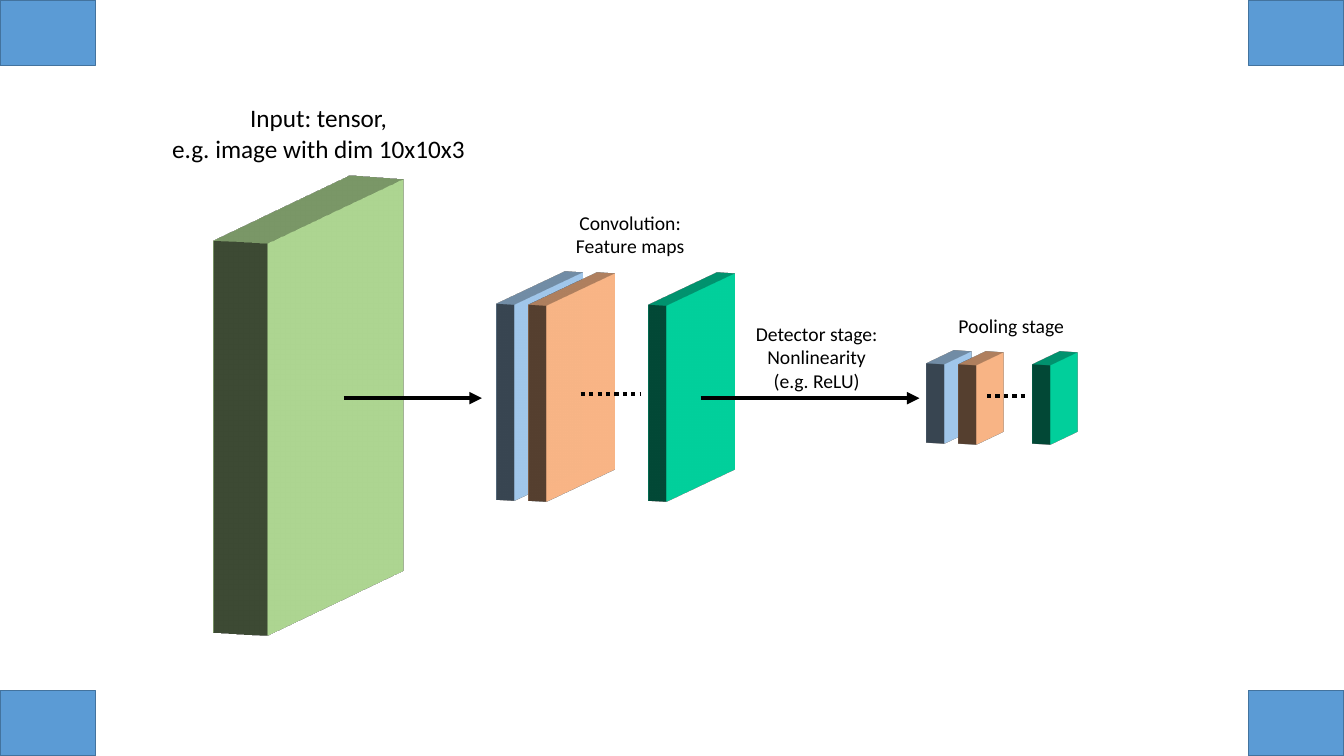
from lxml import etree
from pptx import Presentation
from pptx.dml.color import RGBColor
from pptx.enum import dml, shapes, text
from pptx.oxml import ns
from pptx.util import Inches, Pt

WIDTH, HEIGHT = 13.33, 7.5
FONT = "Calibri"
BLACK = RGBColor(0x00, 0x00, 0x00)
CORNER_FILL = RGBColor(0x5B, 0x9B, 0xD5)
CORNER_LINE = RGBColor(0x43, 0x73, 0x9E)
GREEN = RGBColor(0xA9, 0xD1, 0x8E)
BLUE = RGBColor(0x9D, 0xC3, 0xE6)
ORANGE = RGBColor(0xF4, 0xB1, 0x83)
TEAL = RGBColor(0x00, 0xCC, 0x99)

# Camera turn of every slab, in 60000ths of a degree
TURN = {"lat": str(10 * 60000), "lon": str(290 * 60000), "rev": "0"}


def add_rectangle(slide, x, y, w, h, color):
    sp = slide.shapes.add_shape(shapes.MSO_SHAPE.RECTANGLE,
                                Inches(x), Inches(y), Inches(w), Inches(h))
    sp.shadow.inherit = False
    sp.fill.solid()
    sp.fill.fore_color.rgb = color
    return sp


def add_corners(slide, width, height, w=0.95, h=0.65):
    for y in (0, height - h):
        for x in (0, width - w):
            sp = add_rectangle(slide, x, y, w, h, CORNER_FILL)
            sp.line.color.rgb = CORNER_LINE
            sp.line.width = Pt(1)


def add_slab(slide, x, y, size, depth, color):
    """Draw a square turned in space and extruded backwards by depth."""
    sp = add_rectangle(slide, x, y, size, size, color)
    sp.line.fill.background()
    spPr = sp._element.spPr
    scene = etree.SubElement(spPr, ns.qn("a:scene3d"))
    camera = etree.SubElement(scene, ns.qn("a:camera"), prst="orthographicFront")
    etree.SubElement(camera, ns.qn("a:rot"), TURN)
    etree.SubElement(scene, ns.qn("a:lightRig"), rig="threePt", dir="t")
    etree.SubElement(spPr, ns.qn("a:sp3d"), extrusionH=str(Inches(depth)))


def add_feature_maps(slide, x, y, size, teal_offset):
    for offset, lower, color in ((0, 0, BLUE), (0.31, 0.01, ORANGE), (teal_offset, 0.01, TEAL)):
        add_slab(slide, x + offset, y + lower, size, 0.19, color)


def add_line(slide, x1, x2, y, dotted=False):
    """Draw a horizontal line: dotted, or ending in an arrowhead."""
    cxn = slide.shapes.add_connector(shapes.MSO_CONNECTOR.STRAIGHT,
                                     Inches(x1), Inches(y), Inches(x2), Inches(y))
    cxn.line.color.rgb = BLACK
    cxn.line.width = Pt(3)
    if dotted:
        cxn.line.dash_style = dml.MSO_LINE.ROUND_DOT
    else:
        etree.SubElement(cxn.line._get_or_add_ln(), ns.qn("a:tailEnd"), type="triangle")
    etree.SubElement(cxn._element.spPr, ns.qn("a:effectLst"))


def add_label(slide, x, y, h, paragraphs, size=14, w=3.14):
    tf = slide.shapes.add_textbox(Inches(x), Inches(y), Inches(w), Inches(h)).text_frame
    tf.word_wrap = True
    tf.auto_size = text.MSO_AUTO_SIZE.SHAPE_TO_FIT_TEXT
    style = {"name": FONT, "size": Pt(size)}
    for i, line in enumerate(paragraphs):
        p = tf.add_paragraph() if i else tf.paragraphs[0]
        p.text = line
        p.alignment = text.PP_ALIGN.CENTER
        for r in p.runs:
            for key, value in style.items():
                setattr(r.font, key, value)
            r.font.color.rgb = BLACK


def add_input(slide, x, y):
    add_slab(slide, x, y, 3.94, 0.57, GREEN)
    add_label(slide, x + 0.23, y - 1.1, 0.71,
              ["Input: tensor,", "e.g. image with dim 10x10x3"], size=18)
    add_line(slide, x + 2.05, x + 3.42, y + 1.88)


def add_convolution(slide, x, y):
    add_feature_maps(slide, x, y, 1.97, 1.5)
    add_label(slide, x + 0.22, y - 0.81, 0.57, ["Convolution:\nFeature maps"])
    add_line(slide, x + 1.3, x + 1.89, y + 1.06, dotted=True)


def add_detector(slide, x, y):
    add_label(slide, x, y, 0.81, ["Detector stage:\nNonlinearity\n(e.g. ReLU)"])
    add_line(slide, x + 0.42, x + 2.59, y + 0.81)


def add_pooling(slide, x, y):
    add_feature_maps(slide, x, y, 0.79, 1.05)
    add_label(slide, x - 0.65, y - 0.48, 0.34, ["Pooling stage"])
    add_line(slide, x + 0.68, x + 1.07, y + 0.38, dotted=True)


def main():
    prs = Presentation()
    prs.slide_width, prs.slide_height = Inches(WIDTH), Inches(HEIGHT)
    slide = prs.slides.add_slide(prs.slide_layouts[6])
    add_corners(slide, WIDTH, HEIGHT)
    add_input(slide, 1.36, 2.07)
    add_convolution(slide, 4.46, 2.85)
    add_detector(slide, 6.53, 3.14)
    add_pooling(slide, 9.11, 3.55)
    prs.save("out.pptx")


if __name__ == "__main__":
    main()
